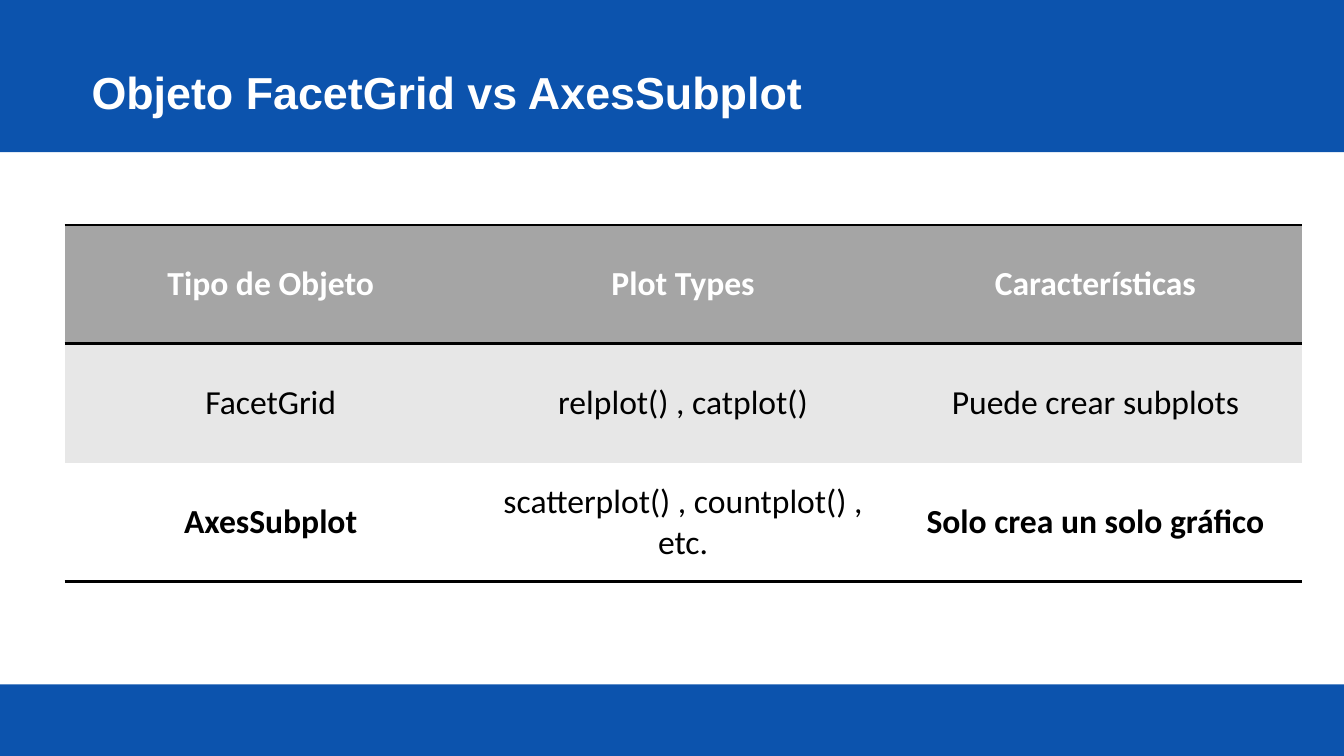
from lxml.etree import SubElement
from pptx import Presentation
from pptx.dml.color import RGBColor
from pptx.enum.shapes import MSO_SHAPE
from pptx.enum.text import MSO_ANCHOR, PP_ALIGN
from pptx.oxml.ns import qn
from pptx.util import Inches, Pt

# Content
TITLE = "Objeto FacetGrid vs AxesSubplot"
BANDS = [(0, 1.51), (6.79, 0.71)]  # top, height
ROWS = [
    ("Tipo de Objeto", "Plot Types", "Características"),
    ("FacetGrid", "relplot() , catplot()", "Puede crear subplots"),
    ("AxesSubplot", "scatterplot() , countplot() , etc.", "Solo crea un solo gráfico"),
]
ROW_FILLS = ["A5A5A5", "E7E7E7", "FFFFFF"]
BOLD = {(0, 0), (0, 1), (0, 2), (2, 0), (2, 2)}  # row, column
RULES = [{"T", "B"}, {"T"}, {"B"}]  # black sides of each row
BLUE, WHITE, BLACK = "0C53AD", "FFFFFF", "000000"
WIDTH, HEIGHT = 13.33, 7.5
COL_W, ROW_H = 4.09, 1.18


def color(value):
    return RGBColor.from_string(value)


def paint(fill, value):
    fill.solid()
    fill.fore_color.rgb = color(value)


def write(tf, text, size=24, font="Calibri", ink=BLACK, bold=False,
          align=PP_ALIGN.LEFT, spacing=1.0):
    tf.word_wrap = True
    p = tf.paragraphs[0]
    p.alignment = align
    p.line_spacing = spacing
    r = p.add_run()
    r.text = text
    r.font.size, r.font.name, r.font.bold = Pt(size), font, bold
    r.font.color.rgb = color(ink)


def set_borders(cell, black_sides):
    tc_pr = cell._tc.get_or_add_tcPr()
    for side in "LRTB":
        ln = SubElement(tc_pr, qn(f"a:ln{side}"))
        if side in black_sides:
            ln.set("w", str(Pt(2)))
            fill = SubElement(ln, qn("a:solidFill"))
            SubElement(fill, qn("a:srgbClr")).set("val", BLACK)
        else:
            SubElement(ln, qn("a:noFill"))


prs = Presentation()
prs.slide_width, prs.slide_height = Inches(WIDTH), Inches(HEIGHT)
s = prs.slides.add_slide(prs.slide_layouts[6])

# Blue bands
for top, height in BANDS:
    sp = s.shapes.add_shape(MSO_SHAPE.RECTANGLE, 0, Inches(top),
                            Inches(WIDTH), Inches(height))
    sp.shadow.inherit = False
    paint(sp.fill, BLUE)
    sp.line.fill.background()

# Title
tf = s.shapes.add_textbox(Inches(0.81), Inches(0.73),
                          Inches(11.73), Inches(0.42)).text_frame
tf.vertical_anchor = MSO_ANCHOR.MIDDLE
write(tf, TITLE, size=32, font="Arial", ink=WHITE, bold=True, spacing=0.9)

# Comparison table
table = s.shapes.add_table(len(ROWS), len(ROWS[0]), Inches(0.64), Inches(2.23),
                           Inches(COL_W * len(ROWS[0])),
                           Inches(ROW_H * len(ROWS))).table
table.first_row = table.horz_banding = False
for column in table.columns:
    column.width = Inches(COL_W)
for i, texts in enumerate(ROWS):
    table.rows[i].height = Inches(ROW_H)
    for j, text in enumerate(texts):
        cell = table.cell(i, j)
        cell.vertical_anchor = MSO_ANCHOR.MIDDLE
        set_borders(cell, RULES[i])
        paint(cell.fill, ROW_FILLS[i])
        write(cell.text_frame, text, ink=BLACK if i else WHITE,
              bold=(i, j) in BOLD, align=PP_ALIGN.CENTER)

prs.save("out.pptx")
